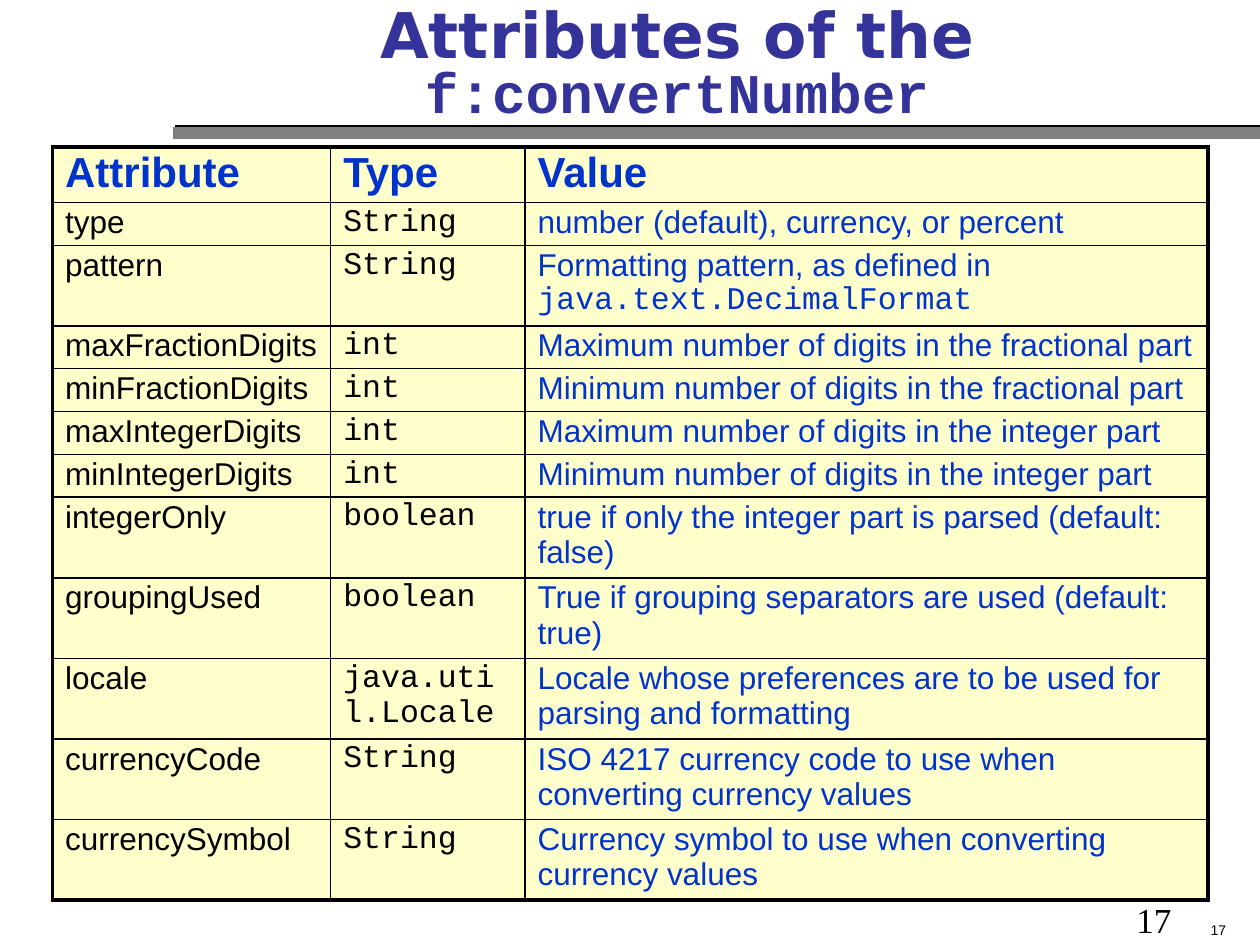
from lxml.etree import SubElement
from pptx import Presentation
from pptx.dml.color import RGBColor
from pptx.enum.shapes import MSO_CONNECTOR as Connector
from pptx.enum.text import MSO_ANCHOR as Anchor, PP_ALIGN as Align
from pptx.oxml.ns import qn
from pptx.util import Inches, Pt

COLOURS = {"title": "333399", "value": "0033CC", "ink": "000000",
           "cell": "FFFFCC", "rule": "808080"}
SANS, MONO = "Arial", "Courier New"
WIDTH, HEIGHT = Inches(10), Inches(7.5)
COLUMNS = (22.08, 15.42, 54.2)
HEAD_ROW, SHORT_ROW, TALL_ROW = 5.87, 4.53, 8.53
HEADINGS = ("Attribute", "Type", "Value")
ATTRIBUTES = (
    ("type", "String", ("number (default), currency, or percent",), SHORT_ROW),
    ("pattern", "String",
     ("Formatting pattern, as defined in ", "java.text.DecimalFormat"), TALL_ROW),
    ("maxFractionDigits", "int",
     ("Maximum number of digits in the fractional part",), SHORT_ROW),
    ("minFractionDigits", "int",
     ("Minimum number of digits in the fractional part",), SHORT_ROW),
    ("maxIntegerDigits", "int",
     ("Maximum number of digits in the integer part",), SHORT_ROW),
    ("minIntegerDigits", "int",
     ("Minimum number of digits in the integer part",), SHORT_ROW),
    ("integerOnly", "boolean",
     ("true if only the integer part is parsed (default: false)",), TALL_ROW),
    ("groupingUsed", "boolean",
     ("True if grouping separators are used (default: true)",), TALL_ROW),
    ("locale", "java.util.Locale",
     ("Locale whose preferences are to be used for parsing and formatting",), TALL_ROW),
    ("currencyCode", "String",
     ("ISO 4217 currency code to use when converting currency values",), TALL_ROW),
    ("currencySymbol", "String",
     ("Currency symbol to use when converting currency values",), TALL_ROW),
)


def across(share):
    """Turn a percentage of the slide width into a length."""
    return int(WIDTH * share / 100)


def down(share):
    """Turn a percentage of the slide height into a length."""
    return int(HEIGHT * share / 100)


def add_span(para, text, font, size, colour, bold=False):
    """Append one formatted run to a paragraph."""
    span = para.add_run()
    span.text = text
    span.font.name, span.font.size, span.font.bold = font, Pt(size), bold
    span.font.color.rgb = RGBColor.from_string(COLOURS[colour])


def add_box(page, left, top, width, height, anchor=Anchor.TOP, align=Align.LEFT):
    """Add a wrapping text box and return it with its paragraph."""
    box = page.shapes.add_textbox(across(left), down(top), across(width), down(height))
    box.text_frame.word_wrap = True
    box.text_frame.vertical_anchor = anchor
    para = box.text_frame.paragraphs[0]
    para.alignment = align
    return box, para


def add_title(page):
    """Add the heading in two typefaces."""
    box, para = add_box(page, 8.35, 2.27, 90.8, 9.73, Anchor.MIDDLE, Align.CENTER)
    box.text_frame.margin_left = box.text_frame.margin_right = across(2)
    para.line_spacing = 0.8
    add_span(para, "Attributes of the ", "DejaVu Sans", 36, "title", True)
    add_span(para, "f:convertNumber", MONO, 32, "title", True)


def add_rule(page):
    """Add the thick rule with its hard shadow."""
    rule = page.shapes.add_connector(
        Connector.STRAIGHT, across(13.75), down(14.07), across(100), down(14.07))
    rule.line.width = Pt(7)
    rule.line.color.rgb = RGBColor.from_string(COLOURS["rule"])
    effects = SubElement(rule.element.spPr, qn("a:effectLst"))
    shadow = SubElement(effects, qn("a:outerShdw"), dist=str(Pt(1.4)),
                        dir=str(315 * 60000), algn="ctr", rotWithShape="0")
    SubElement(shadow, qn("a:srgbClr"), val=COLOURS["ink"])


def style_cell(cell, edges):
    """Set the margins, borders and fill of a cell."""
    cell.margin_left = cell.margin_right = Inches(0.1)
    cell.margin_top = cell.margin_bottom = Inches(0.02)
    properties = cell._tc.get_or_add_tcPr()
    for side, outer in edges.items():
        border = SubElement(properties, qn(f"a:ln{side}"), w=str(Pt(2.25 if outer else 1)))
        paint = SubElement(border, qn("a:solidFill"))
        SubElement(paint, qn("a:srgbClr"), val=COLOURS["ink"])
    cell.fill.solid()
    cell.fill.fore_color.rgb = RGBColor.from_string(COLOURS["cell"])


def add_attribute_table(page):
    """Add the table of attributes, types and values."""
    heights = [HEAD_ROW] + [attribute[-1] for attribute in ATTRIBUTES]
    last_row, last_column = len(heights) - 1, len(COLUMNS) - 1
    frame = page.shapes.add_table(
        len(heights), len(COLUMNS), across(4.17), down(15.56),
        across(sum(COLUMNS)), down(sum(heights)))
    table = frame.table
    table.first_row = table.horz_banding = False
    for column, share in zip(table.columns, COLUMNS):
        column.width = across(share)
    for row, share in zip(table.rows, heights):
        row.height = down(share)
    for r in range(len(heights)):
        for c in range(len(COLUMNS)):
            style_cell(table.cell(r, c), {"L": c == 0, "R": c == last_column,
                                          "T": r == 0, "B": r == last_row})
    for c, heading in enumerate(HEADINGS):
        add_span(table.cell(0, c).text_frame.paragraphs[0], heading, SANS, 24, "value", True)
    for r, (name, kind, value, _) in enumerate(ATTRIBUTES, 1):
        paras = [table.cell(r, c).text_frame.paragraphs[0] for c in range(len(COLUMNS))]
        add_span(paras[0], name, SANS, 18, "ink")
        add_span(paras[1], kind, MONO, 18, "ink")
        for text, font in zip(value, (SANS, MONO)):
            add_span(paras[2], text, font, 18, "value")


def add_page_numbers(page):
    """Add the large and the small page number."""
    _, para = add_box(page, 89.2, 94.4, 9.2, 5.6)
    add_span(para, "17", "Times New Roman", 20, "ink")
    _, para = add_box(page, 90.8, 95.6, 7.5, 4.4, Anchor.BOTTOM, Align.RIGHT)
    add_span(para, "17", SANS, 8, "ink")


def main():
    """Build the slide and save the deck."""
    deck = Presentation()
    deck.slide_width, deck.slide_height = WIDTH, HEIGHT
    page = deck.slides.add_slide(deck.slide_layouts[6])
    add_rule(page)
    add_title(page)
    add_attribute_table(page)
    add_page_numbers(page)
    deck.save("out.pptx")


if __name__ == "__main__":
    main()
